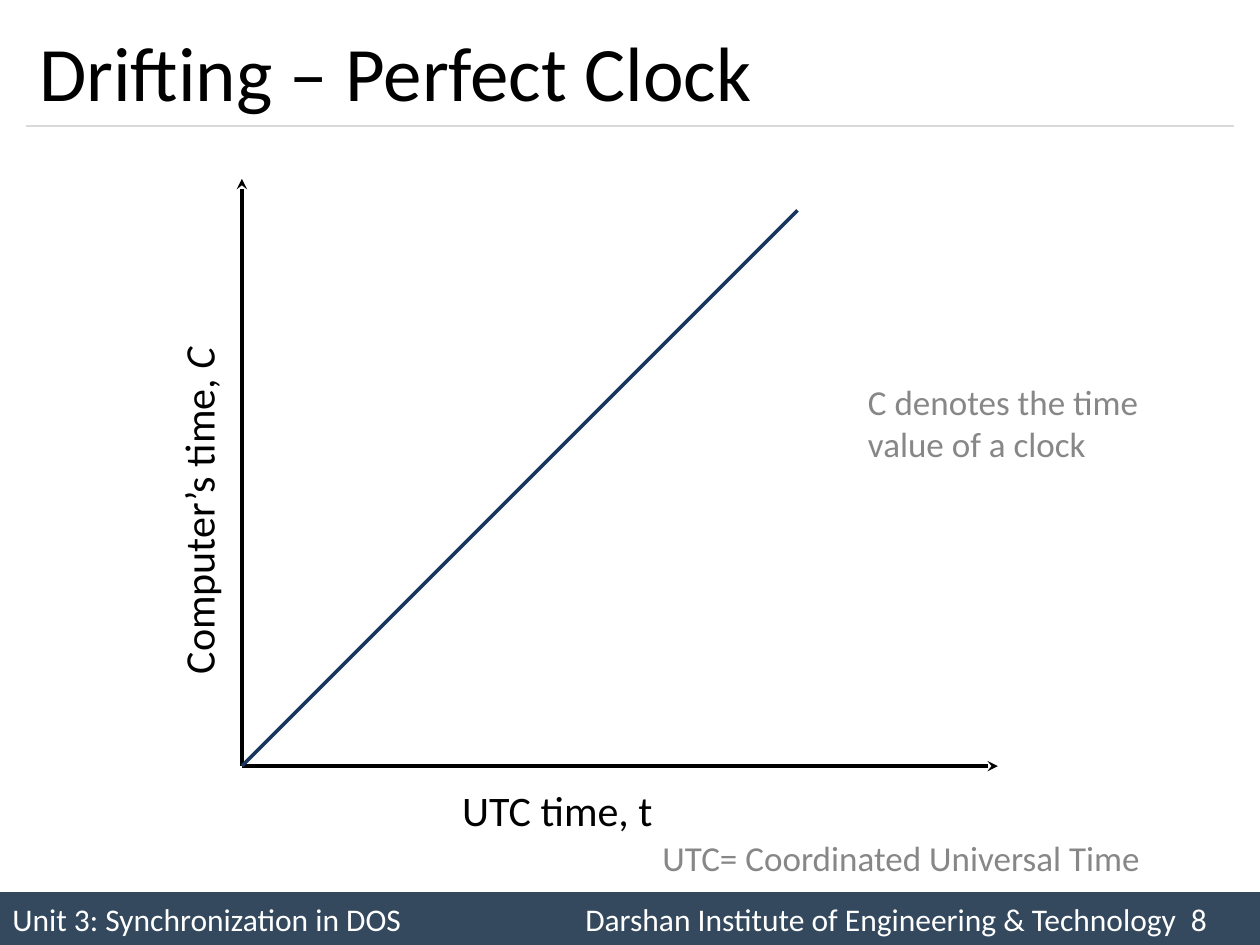
from dataclasses import dataclass

from lxml.etree import SubElement
from pptx import Presentation
from pptx.dml.color import RGBColor
from pptx.enum.shapes import MSO_CONNECTOR as Connector, MSO_SHAPE as Shape
from pptx.enum.text import MSO_ANCHOR as Anchor, MSO_AUTO_SIZE as AutoSize, PP_ALIGN as Align
from pptx.oxml.ns import qn
from pptx.util import Inches, Pt


@dataclass(frozen=True)
class Theme:
    font: str = "Calibri"
    black: str = "000000"
    white: str = "FFFFFF"
    muted: str = "878787"
    rule: str = "D9D9D9"
    clock: str = "17375E"
    footer: str = "34495E"
    title_size: int = 44
    label_size: int = 24
    note_size: int = 20
    footer_size: int = 18


theme = Theme()

# Content
TITLE = "Drifting – Perfect Clock"
FOOTER = ("Unit 3: Synchronization in DOS",
          "Darshan Institute of Engineering & Technology", "8")
FOOTER_TABS = (9.24, 9.48)  # right edges of the institute and the page number

# Layout, in inches
WIDTH, HEIGHT = 10, 7.5
MARGIN, RULE_Y, FOOTER_HEIGHT = 0.21, 1, 0.42
ORIGIN_X, ORIGIN_Y = 1.92, 6.08
AXIS_X, AXIS_Y, CLOCK_SPAN = 6, 4.66, 4.41

# Lines: start, horizontal run, vertical rise, colour, points, arrow
LINES = [
    (MARGIN, RULE_Y, WIDTH - 2 * MARGIN, 0, theme.rule, 0.75, False),
    (ORIGIN_X, ORIGIN_Y, 0, AXIS_Y, theme.black, 2, True),
    (ORIGIN_X, ORIGIN_Y, AXIS_X, 0, theme.black, 2, True),
    (ORIGIN_X, ORIGIN_Y, CLOCK_SPAN, CLOCK_SPAN, theme.clock, 2, False),
]

# Labels: runs (the second is italic), place, size, colour, rotation, wrap
LABELS = [
    (["UTC time, t"], (3.57, 6.18, 1.73, 0.5), theme.label_size, theme.black, 0, False),
    (["Computer’s time, ", "C"], (0.16, 3.79, 2.82, 0.5), theme.label_size, theme.black, 270, False),
    (["UTC= Coordinated Universal Time"], (5.16, 6.59, 4.03, 0.44), theme.note_size, theme.muted, 0, False),
    (["C denotes the time value of a clock"], (6.79, 2.97, 2.58, 0.77), theme.note_size, theme.muted, 0, True),
]


def style(font, size, colour):
    font.name, font.size = theme.font, Pt(size)
    font.color.rgb = RGBColor.from_string(colour)


def inches(*lengths):
    return [Inches(length) for length in lengths]


def add_line(page, x, y, run, rise, colour, points, arrow):
    line = page.shapes.add_connector(Connector.STRAIGHT, *inches(x, y, x + run, y - rise))
    line.line.color.rgb = RGBColor.from_string(colour)
    line.line.width = Pt(points)
    if arrow:
        SubElement(line.line._get_or_add_ln(), qn("a:tailEnd"), type="stealth")
    SubElement(line._element.spPr, qn("a:effectLst"))


def add_label(page, texts, place, size, colour, rotation, wrap):
    box = page.shapes.add_textbox(*inches(*place))
    box.rotation = rotation
    frame = box.text_frame
    frame.word_wrap = wrap
    frame.auto_size = AutoSize.SHAPE_TO_FIT_TEXT
    for index, text in enumerate(texts):
        span = frame.paragraphs[0].add_run()
        span.text = text
        style(span.font, size, colour)
        if index == 1:
            span.font.italic = True


def add_title(page):
    title = page.shapes.title
    title.left, title.top, title.width, title.height = inches(
        MARGIN, 0.12, WIDTH - 2 * MARGIN, RULE_Y - 0.12)
    frame = title.text_frame
    frame.text = TITLE
    frame.auto_size = AutoSize.NONE
    frame.vertical_anchor = Anchor.MIDDLE
    para = frame.paragraphs[0]
    para.alignment = Align.LEFT
    style(para.runs[0].font, theme.title_size, theme.black)


def add_footer(page):
    bar = page.shapes.add_shape(
        Shape.RECTANGLE, *inches(0, HEIGHT - FOOTER_HEIGHT, WIDTH, FOOTER_HEIGHT))
    bar.shadow.inherit = False
    bar.fill.solid()
    bar.fill.fore_color.rgb = RGBColor.from_string(theme.footer)
    bar.line.fill.background()
    frame = bar.text_frame
    frame.vertical_anchor = Anchor.MIDDLE
    frame.text = "\t".join(FOOTER)
    para = frame.paragraphs[0]
    para.alignment = Align.LEFT
    tabs = SubElement(para._p.get_or_add_pPr(), qn("a:tabLst"))
    for position in FOOTER_TABS:
        SubElement(tabs, qn("a:tab"), pos=str(Inches(position)), algn="r")
    for span in para.runs:
        style(span.font, theme.footer_size, theme.white)


def main():
    deck = Presentation()
    deck.slide_width, deck.slide_height = inches(WIDTH, HEIGHT)
    page = deck.slides.add_slide(deck.slide_layouts.get_by_name("Title Only"))
    add_footer(page)
    add_title(page)
    for line in LINES:
        add_line(page, *line)
    for label in LABELS:
        add_label(page, *label)
    deck.save("out.pptx")


if __name__ == "__main__":
    main()
